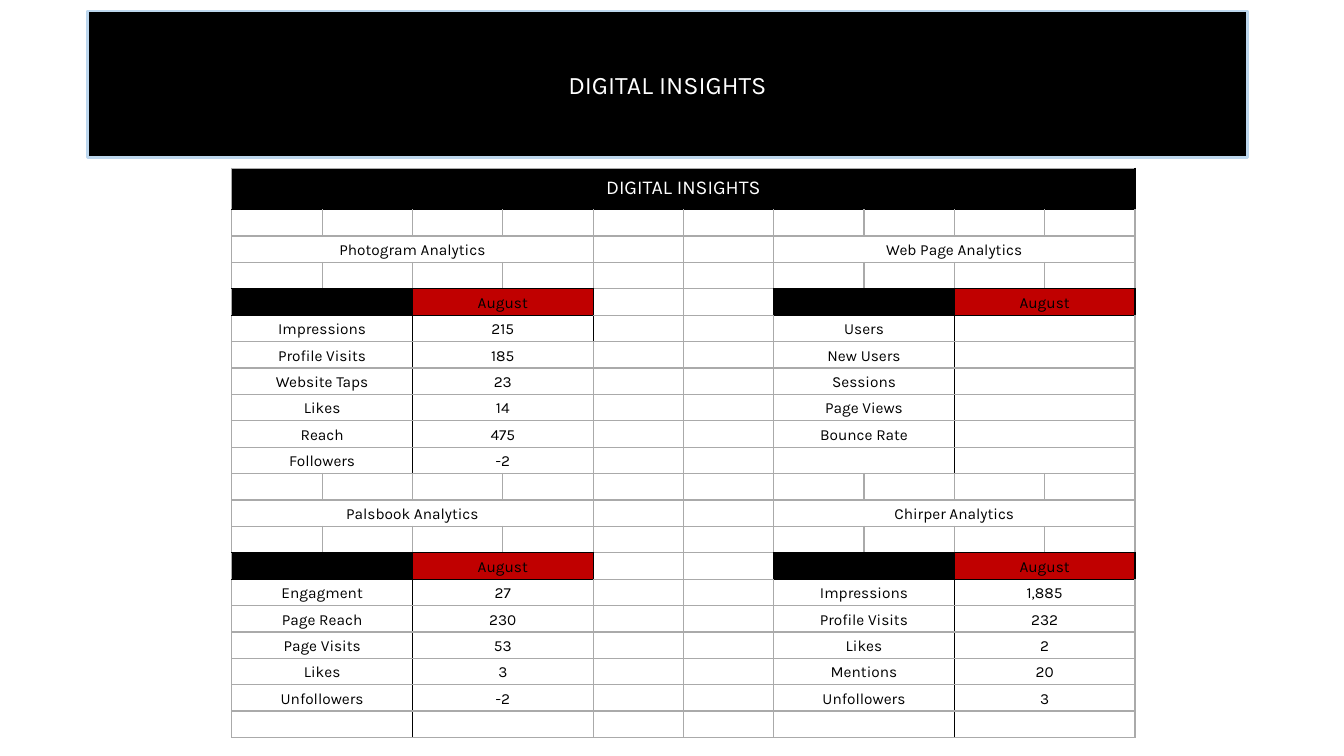
from lxml import etree
from pptx import Presentation
from pptx.dml.color import RGBColor
from pptx.enum.text import MSO_ANCHOR, PP_ALIGN
from pptx.oxml.ns import qn
from pptx.util import Inches, Pt

CENTER = PP_ALIGN.CENTER
MIDDLE, BOTTOM = MSO_ANCHOR.MIDDLE, MSO_ANCHOR.BOTTOM
FONT = "Karla"
BLACK, WHITE, RED, GRAY, BLUE = "000000", "FFFFFF", "C00000", "AAAAAA", "BDD7EE"
HEADING = "DIGITAL INSIGHTS"
ROWS, COLS, DATA = 21, 10, 6

# Top row, left column, title, measures with their values
BLOCKS = [
    (2, 0, "Photogram Analytics",
     [("Impressions", "215"), ("Profile Visits", "185"), ("Website Taps", "23"),
      ("Likes", "14"), ("Reach", "475"), ("Followers", "-2")]),
    (2, 6, "Web Page Analytics",
     [("Users", ""), ("New Users", ""), ("Sessions", ""),
      ("Page Views", ""), ("Bounce Rate", "")]),
    (12, 0, "Palsbook Analytics",
     [("Engagment", "27"), ("Page Reach", "230"), ("Page Visits", "53"),
      ("Likes", "3"), ("Unfollowers", "-2")]),
    (12, 6, "Chirper Analytics",
     [("Impressions", "1,885"), ("Profile Visits", "232"), ("Likes", "2"),
      ("Mentions", "20"), ("Unfollowers", "3")]),
]


def rgb(color):
    return RGBColor.from_string(color)


def write(frame, text, size, color):
    frame.text = text
    para = frame.paragraphs[0]
    para.alignment = CENTER
    for run in para.runs:
        run.font.name = FONT
        run.font.size = Pt(size)
        run.font.color.rgb = rgb(color)
    if not text:
        # Keeps the row of an empty cell from growing
        etree.SubElement(para._p, qn("a:endParaRPr"), sz=str(size * 100))


def banner(slide, left, top, width, height):
    title = slide.shapes.title
    title.left, title.top, title.width, title.height = left, top, width, height
    title.fill.solid()
    title.fill.fore_color.rgb = rgb(BLACK)
    title.line.color.rgb = rgb(BLUE)
    title.line.width = Pt(2)
    frame = title.text_frame
    frame.margin_left = frame.margin_right = Inches(0.05)
    frame.margin_top = frame.margin_bottom = Inches(0.05)
    frame.vertical_anchor = MIDDLE
    write(frame, HEADING, 18, WHITE)


def layout():
    """Return the filled or merged cells as {(row, col): (span, text, fill)}."""
    cells = {(0, 0): (COLS, HEADING, BLACK)}
    for top, left, name, pairs in BLOCKS:
        cells[top, left] = (4, name, None)
        cells[top + 2, left] = (2, "", BLACK)
        cells[top + 2, left + 2] = (2, "August", RED)
        blanks = [("", "")] * (DATA - len(pairs))
        for row, (label, value) in enumerate(pairs + blanks, top + 3):
            cells[row, left] = (2, label, None)
            cells[row, left + 2] = (2, value, None)
    return cells


def edges():
    """Return the black grid edges: v left of a cell, h above a cell."""
    dark = {("h", 1, col) for col in range(COLS)}
    dark |= {("v", 0, COLS), ("v", 5, 4)}
    for top, left, _, _ in BLOCKS:
        head = top + 2
        dark |= {("h", row, left + col) for row in (head, head + 1) for col in range(4)}
        dark |= {("v", row, left + 2) for row in range(head, head + DATA + 1)}
        dark.add(("v", head, left + 4))
        if left:
            dark.add(("v", head, left))
    return dark


def border(cell, sides):
    props = cell._tc.get_or_add_tcPr()
    for side, color in sides.items():
        line = etree.SubElement(props, qn("a:ln" + side), w=str(Pt(1)))
        fill = etree.SubElement(line, qn("a:solidFill"))
        etree.SubElement(fill, qn("a:srgbClr"), val=color)


def paint(cell, text, fill, heading):
    cell.margin_left = cell.margin_right = cell.margin_bottom = Inches(0.03)
    cell.margin_top = 0
    cell.vertical_anchor = MIDDLE if heading else BOTTOM
    write(cell.text_frame, text, 14 if heading else 11, WHITE if heading else BLACK)
    if fill:
        cell.fill.solid()
        cell.fill.fore_color.rgb = rgb(fill)
    else:
        cell.fill.background()


def grid(slide, left, top, width, height):
    table = slide.shapes.add_table(ROWS, COLS, left, top, width, height).table
    table.first_row = table.horz_banding = False
    first = Inches(0.41)
    for row in table.rows:
        row.height = (height - first) // (ROWS - 1)
    table.rows[0].height = first
    cells, dark = layout(), edges()
    for (row, col), (span, _, _) in cells.items():
        table.cell(row, col).merge(table.cell(row, col + span - 1))
    for row in range(ROWS):
        for col in range(COLS):
            cell = table.cell(row, col)
            span, text, fill = cells.get((row, col), (1, "", None))
            if not cell.is_spanned:
                around = {"L": ("v", row, col), "R": ("v", row, col + span),
                          "T": ("h", row, col), "B": ("h", row + 1, col)}
                border(cell, {side: BLACK if edge in dark else GRAY
                              for side, edge in around.items()})
            paint(cell, text, fill, row == 0)


def main():
    deck = Presentation()
    deck.slide_width, deck.slide_height = Inches(13.33), Inches(7.5)
    slide = deck.slides.add_slide(deck.slide_layouts[5])
    banner(slide, Inches(0.87), Inches(0.11), Inches(11.5), Inches(1.45))
    grid(slide, Inches(2.3), Inches(1.67), Inches(8.96), Inches(5.65))
    deck.save("out.pptx")


if __name__ == "__main__":
    main()
